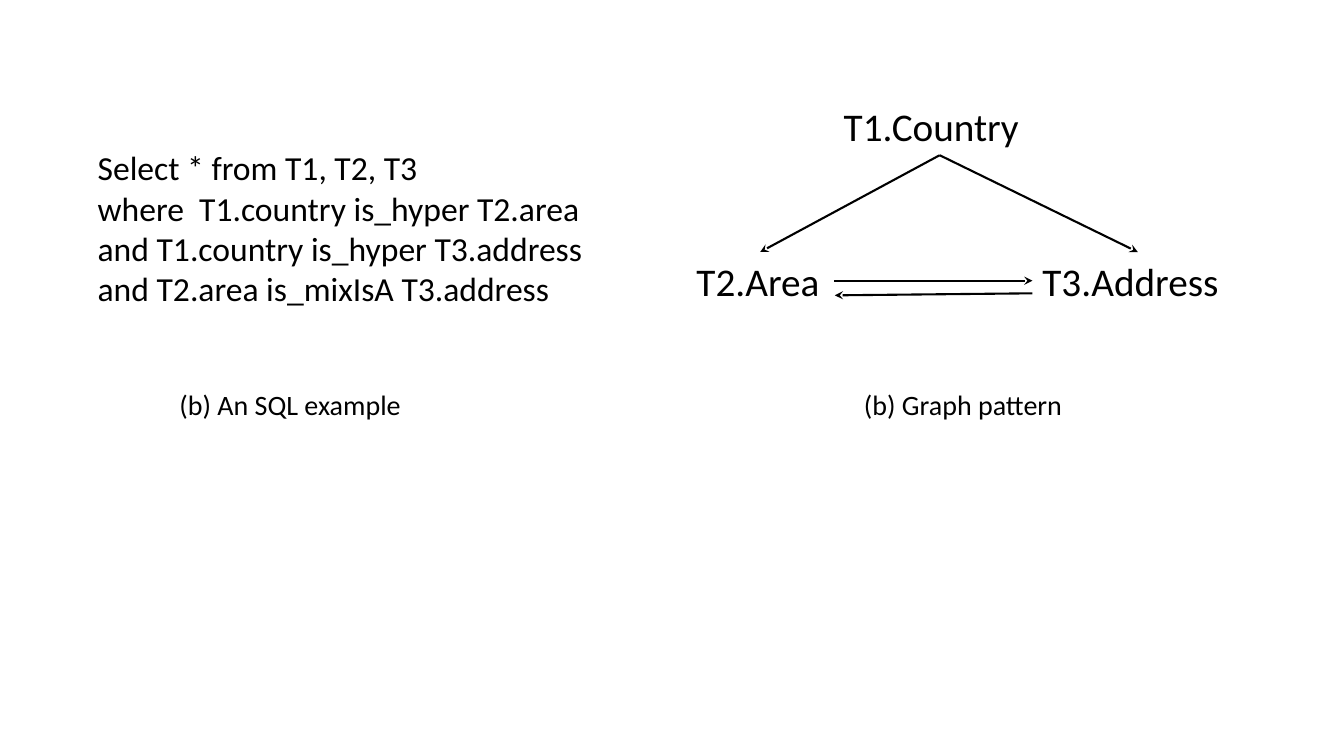
from lxml.etree import SubElement
from pptx import Presentation
from pptx.dml.color import RGBColor
from pptx.enum.shapes import MSO_CONNECTOR
from pptx.enum.text import MSO_AUTO_SIZE
from pptx.oxml.ns import qn
from pptx.util import Inches, Pt

FONT = "Calibri"
BLACK = "000000"
TOP, LEFT, BOTTOM, RIGHT = range(4)


def color(code):
    """Turn a hex string into a colour."""
    return RGBColor.from_string(code)


def add_text(slide, box, lines, size):
    """Add a text box with one paragraph per line."""
    shape = slide.shapes.add_textbox(*map(Inches, box))
    frame = shape.text_frame
    frame.word_wrap = True
    frame.auto_size = MSO_AUTO_SIZE.SHAPE_TO_FIT_TEXT
    for index, line in enumerate(lines):
        para = frame.add_paragraph() if index else frame.paragraphs[0]
        run = para.add_run()
        run.text = line
        run.font.name = FONT
        run.font.size = Pt(size)
        run.font.color.rgb = color(BLACK)
    return shape


def add_arrow(slide, tip, tail):
    """Add a line with a stealth head at its tip."""
    ends = map(Inches, (*tip, *tail))
    line = slide.shapes.add_connector(MSO_CONNECTOR.STRAIGHT, *ends)
    line.line.color.rgb = color(BLACK)
    line.line.width = Pt(1.5)
    head = SubElement(line.line._get_or_add_ln(), qn("a:headEnd"))
    head.set("type", "stealth")
    SubElement(line._element.spPr, qn("a:effectLst"))
    return line


def link(slide, target, side, source, start):
    """Join two nodes with an arrow that points at the target."""
    line = add_arrow(slide, (0, 0), (1, 1))
    line.begin_connect(target, side)
    line.end_connect(source, start)


def add_graph(slide):
    """Draw the pattern of three linked columns."""
    country = add_text(slide, (8.27, 0.97, 2.1, 0.57), ["T1.Country"], 28)
    area = add_text(slide, (6.81, 2.5, 1.46, 0.57), ["T2.Area"], 28)
    address = add_text(slide, (10.24, 2.5, 2.09, 0.57), ["T3.Address"], 28)
    for node in (area, address):
        link(slide, node, TOP, country, BOTTOM)
    link(slide, address, LEFT, area, RIGHT)
    add_arrow(slide, (8.28, 2.93), (10.24, 2.91))


def main():
    """Build the slide and save it."""
    deck = Presentation()
    deck.slide_width = Inches(13.33)
    deck.slide_height = Inches(7.5)
    slide = deck.slides.add_slide(deck.slide_layouts[6])
    add_graph(slide)
    query = [
        "Select * from T1, T2, T3",
        "where  T1.country is_hyper T2.area "
        "and T1.country is_hyper T3.address "
        "and T2.area is_mixIsA T3.address",
    ]
    add_text(slide, (0.87, 1.41, 5.21, 1.72), query, 24)
    for left, label in ((8.47, "(b) Graph pattern"), (1.68, "(b) An SQL example")):
        add_text(slide, (left, 3.8, 2.81, 0.44), [label], 20)
    deck.save("out.pptx")


if __name__ == "__main__":
    main()
